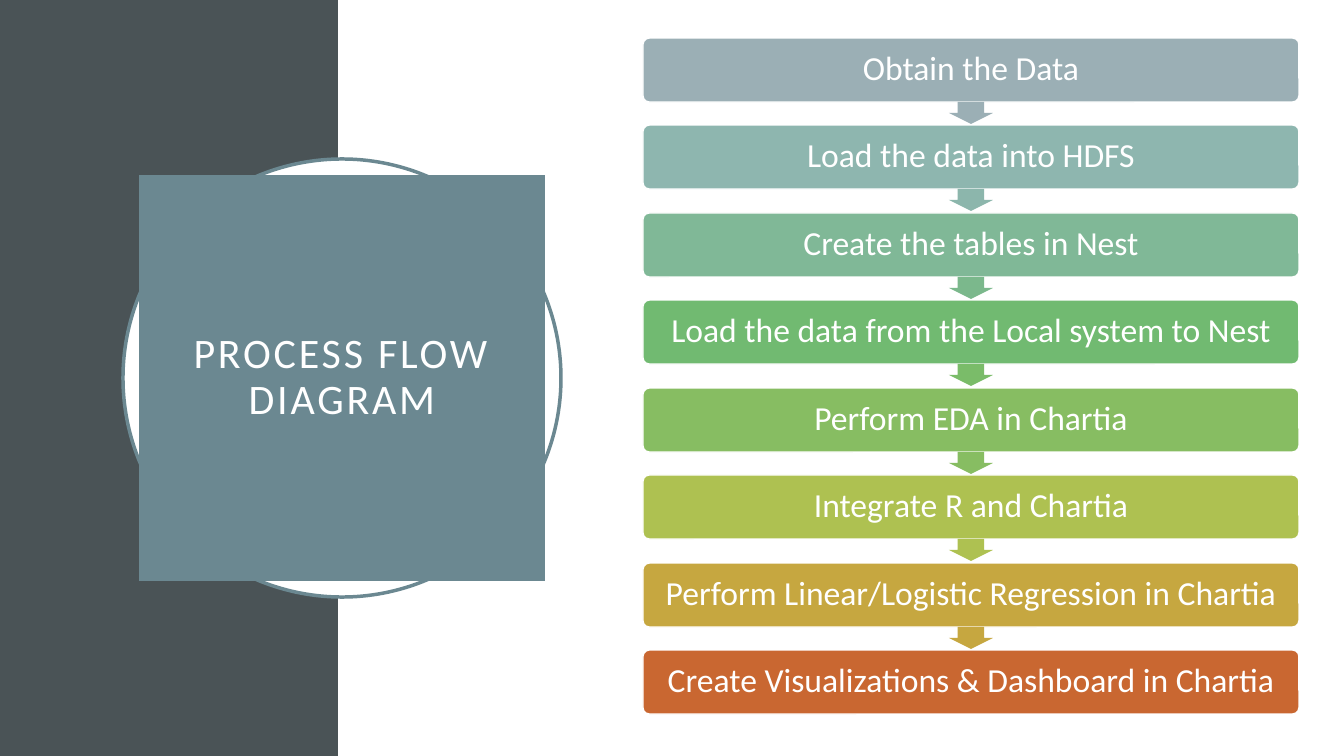
from pptx import Presentation
from pptx.dml.color import RGBColor
from pptx.enum.shapes import MSO_SHAPE
from pptx.enum.text import MSO_ANCHOR, PP_ALIGN
from pptx.util import Emu, Pt

RECT = MSO_SHAPE.RECTANGLE
OVAL = MSO_SHAPE.OVAL
ROUND = MSO_SHAPE.ROUNDED_RECTANGLE
ARROW = MSO_SHAPE.DOWN_ARROW
MIDDLE = MSO_ANCHOR.MIDDLE
CENTER = PP_ALIGN.CENTER

WHITE = RGBColor(0xFF, 0xFF, 0xFF)
SLATE = RGBColor(0x4A, 0x53, 0x56)
TEAL = RGBColor(0x6B, 0x88, 0x91)
STEEL = RGBColor(0x9B, 0xAF, 0xB5)
MIST = RGBColor(0x8E, 0xB6, 0xAF)
MIST_ARROW = RGBColor(0x8C, 0xB6, 0xAC)
SAGE = RGBColor(0x80, 0xB8, 0x97)
SAGE_ARROW = RGBColor(0x7B, 0xB8, 0x8C)
GREEN = RGBColor(0x71, 0xBA, 0x71)
GREEN_ARROW = RGBColor(0x7A, 0xBC, 0x69)
LEAF = RGBColor(0x87, 0xBD, 0x62)
LIME = RGBColor(0xAE, 0xC1, 0x51)
GOLD = RGBColor(0xC6, 0xA7, 0x40)
RUST = RGBColor(0xC9, 0x67, 0x31)

WIDTH, HEIGHT = 1344, 756

# Wording, box colour, colour of the arrow below
STEPS = [
    ("Obtain the Data", STEEL, STEEL),
    ("Load the data into HDFS", MIST, MIST_ARROW),
    ("Create the tables in Nest", SAGE, SAGE_ARROW),
    ("Load the data from the Local system to Nest", GREEN, GREEN_ARROW),
    ("Perform EDA in Chartia", LEAF, LEAF),
    ("Integrate R and Chartia", LIME, LIME),
    ("Perform Linear/Logistic Regression in Chartia", GOLD, GOLD),
    ("Create Visualizations & Dashboard in Chartia", RUST, None),
]
STEP_LEFT, STEP_WIDTH, STEP_HEIGHT = 643, 656, 64
FIRST_TOP, LAST_TOP = 38, 650
ARROW_WIDTH, ARROW_HEIGHT = 44, 22


def px(count):
    return Emu(round(count * 914400 / 100.8))


def write(shape, text, size=24, inset=10, spacing=None):
    """Put centred text in a shape; spacing is between letters, in points."""
    frame = shape.text_frame
    frame.word_wrap = True
    frame.vertical_anchor = MIDDLE
    frame.margin_left = frame.margin_right = px(inset)
    frame.margin_top = frame.margin_bottom = px(inset)
    para = frame.paragraphs[0]
    para.alignment = CENTER
    para.line_spacing = 0.9
    run = para.add_run()
    run.text = text
    run.font.name = Style.font
    run.font.size = Pt(size)
    run.font.color.rgb = Style.ink
    if spacing:
        run.font._element.set("spc", str(spacing * 100))


class Style:
    font = "Calibri"
    ink = WHITE

    def __init__(self, slide):
        self.slide = slide

    def shape(self, kind, left, top, width, height, fill, line=None, weight=1, adjust=()):
        item = self.slide.shapes.add_shape(kind, px(left), px(top), px(width), px(height))
        item.shadow.inherit = False
        item.fill.solid()
        item.fill.fore_color.rgb = fill
        if line is None:
            item.line.fill.background()
        else:
            item.line.color.rgb = line
            item.line.width = Pt(weight)
        for index, value in enumerate(adjust):
            item.adjustments[index] = value
        return item

    def title(self, text):
        self.shape(OVAL, 123, 159, 438, 438, WHITE, line=TEAL, weight=2.5)
        panel = self.shape(RECT, 139, 175, 406, 406, TEAL)
        write(panel, text, size=30, inset=20, spacing=2)

    def step(self, top, text, fill):
        box = self.shape(ROUND, STEP_LEFT, top, STEP_WIDTH, STEP_HEIGHT, fill,
                         line=WHITE, adjust=[0.1])
        write(box, text)

    def arrow(self, top, fill):
        left = STEP_LEFT + (STEP_WIDTH - ARROW_WIDTH) // 2
        self.shape(ARROW, left, top, ARROW_WIDTH, ARROW_HEIGHT, fill, adjust=[0.6, 0.5])


def main():
    deck = Presentation()
    deck.slide_width, deck.slide_height = px(WIDTH), px(HEIGHT)
    page = Style(deck.slides.add_slide(deck.slide_layouts[6]))

    page.shape(RECT, 0, 0, 338, HEIGHT, SLATE)
    page.title("PROCESS FLOW DIAGRAM")

    for index, (text, fill, below) in enumerate(STEPS):
        top = FIRST_TOP + round(index * (LAST_TOP - FIRST_TOP) / (len(STEPS) - 1))
        page.step(top, text, fill)
        if below is not None:
            page.arrow(top + STEP_HEIGHT, below)

    deck.save("out.pptx")


if __name__ == "__main__":
    main()
